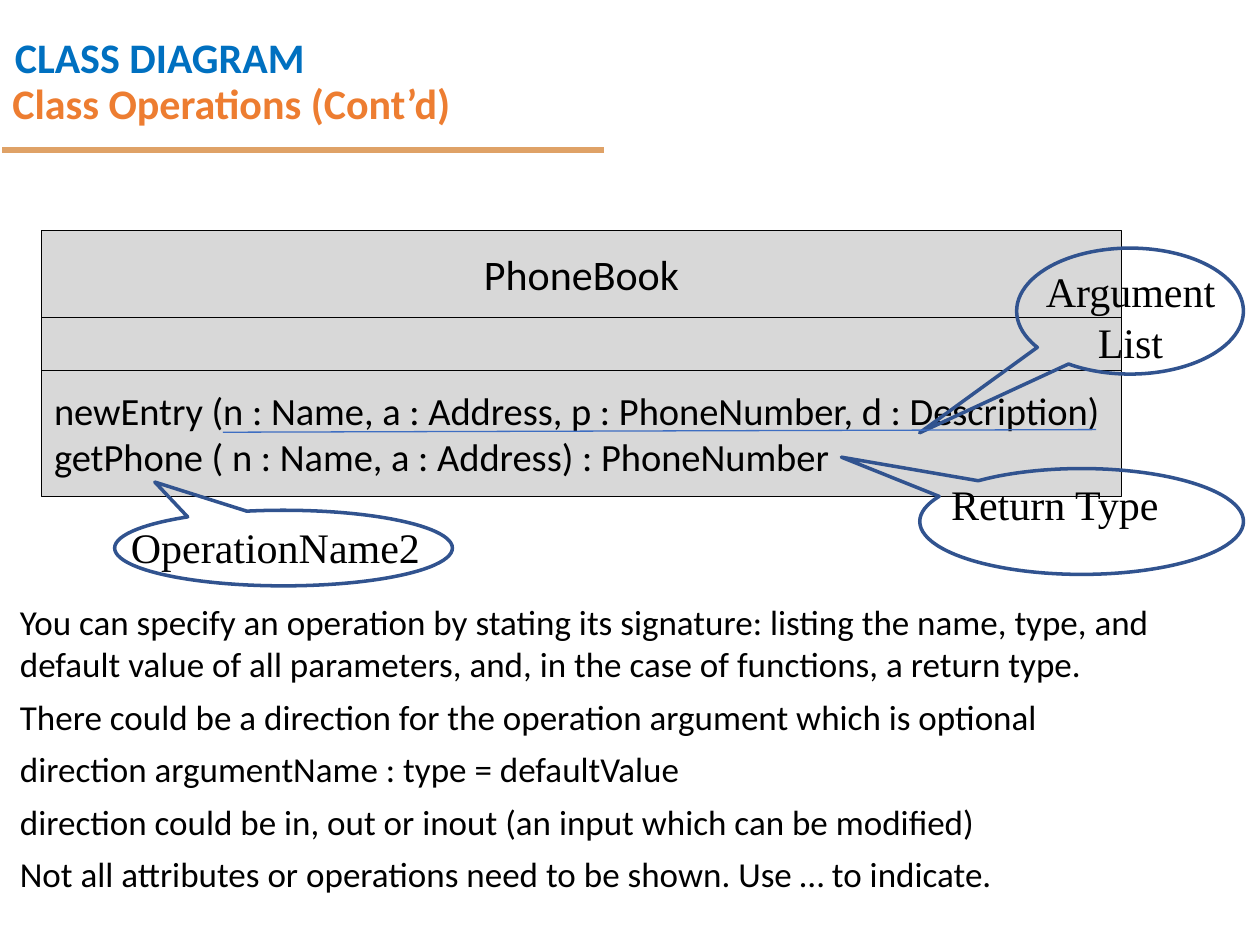
from dataclasses import dataclass

from lxml.etree import SubElement
from pptx import Presentation
from pptx.dml.color import RGBColor as RGB
from pptx.enum.shapes import MSO_CONNECTOR as CONN, MSO_SHAPE as SHAPE
from pptx.enum.text import MSO_ANCHOR as ANCHOR, PP_ALIGN as ALIGN
from pptx.oxml.ns import qn
from pptx.util import Pt


@dataclass(frozen=True)
class Theme:
    """Colours, fonts and type sizes of the slide."""
    ink: str = "000000"
    heading: str = "0070C0"
    title: str = "ED7D31"
    rule: str = "DFA267"
    box: str = "D8D8D8"
    callout: str = "31538F"
    underline: str = "3E6EC2"
    sans: str = "Calibri"
    serif: str = "Times New Roman"
    large: int = 24
    medium: int = 22
    body: int = 20


class Deck:
    """Draws styled elements on the current slide, measured in points."""

    def __init__(self, prs, theme):
        """Add a blank slide to draw on."""
        self.theme = theme
        self.s = prs.slides.add_slide(prs.slide_layouts[6])

    def fill_text(self, tf, lines, size, font=None, color=None, bold=False,
                  align=ALIGN.LEFT, anchor=ANCHOR.TOP, spacing=None, gap=0):
        """Fill a text frame with one paragraph per line."""
        tf.word_wrap = True
        tf.vertical_anchor = anchor
        tf.text = "\n".join(lines)
        for i, p in enumerate(tf.paragraphs):
            p.alignment = align
            p.line_spacing = spacing
            p.space_before = Pt(gap if i else 0)
            for r in p.runs:
                r.font.name = font or self.theme.sans
                r.font.size = Pt(size)
                r.font.bold = bold
                r.font.color.rgb = RGB.from_string(color or self.theme.ink)

    def text(self, box, lines, size, **style):
        """Add a text box."""
        sp = self.s.shapes.add_textbox(*map(Pt, box))
        self.fill_text(sp.text_frame, lines, size, **style)

    def shape(self, kind, box, line, width, fill=None):
        """Add a preset shape with an outline and an optional fill."""
        sp = self.s.shapes.add_shape(kind, *map(Pt, box))
        sp.shadow.inherit = False
        if fill:
            sp.fill.solid()
            sp.fill.fore_color.rgb = RGB.from_string(fill)
        else:
            sp.fill.background()
        sp.line.color.rgb = RGB.from_string(line)
        sp.line.width = Pt(width)
        return sp

    def compartment(self, top, height, lines=(), size=24, align=ALIGN.LEFT):
        """Add one compartment of the class box."""
        sp = self.shape(SHAPE.RECTANGLE, (23.8, top, 617, height),
                        self.theme.ink, 0.75, self.theme.box)
        if lines:
            self.fill_text(sp.text_frame, lines, size, align=align,
                           anchor=ANCHOR.MIDDLE)

    def callout(self, box, tip, label_box, lines, align=ALIGN.LEFT):
        """Add an elliptical callout and its label."""
        sp = self.shape(SHAPE.OVAL_CALLOUT, box, self.theme.callout, 2)
        sp.adjustments[0], sp.adjustments[1] = tip
        self.text(label_box, lines, self.theme.large,
                  font=self.theme.serif, align=align)

    def line(self, ends, color, width):
        """Add a straight line."""
        c = self.s.shapes.add_connector(CONN.STRAIGHT, *map(Pt, ends))
        c.line.color.rgb = RGB.from_string(color)
        c.line.width = Pt(width)
        SubElement(c._element.spPr, qn("a:effectLst"))


def main():
    """Build and save the slide."""
    prs = Presentation()
    prs.slide_width, prs.slide_height = Pt(720), Pt(540)
    t = Theme()
    d = Deck(prs, t)

    d.text((1.4, 0, 533, 51), ["CLASS DIAGRAM"], t.large,
           color=t.heading, bold=True, spacing=1.5)
    d.line((1.4, 85.7, 345, 85.7), t.rule, 3)
    d.text((0, 39.6, 618, 41.8), ["Class Operations (Cont’d)"], t.large,
           color=t.title, bold=True, anchor=ANCHOR.MIDDLE, spacing=0.9)

    d.compartment(131.8, 49.7, ["PhoneBook"], t.large, ALIGN.CENTER)
    d.compartment(181.4, 37.4)
    d.compartment(211.7, 72, [
        "newEntry (n : Name, a : Address, p : PhoneNumber, d : Description)",
        "getPhone ( n : Name, a : Address) : PhoneNumber",
    ], t.medium)

    d.text((4.3, 339.8, 715.7, 177), [
        "You can specify an operation by stating its signature: listing the name, "
        "type, and default value of all parameters, and, in the case of functions, "
        "a return type.",
        "There could be a direction for the operation argument which is optional",
        "direction argumentName : type = defaultValue",
        "direction could be in, out or inout (an input which can be modified)",
        "Not all attributes or operations need to be shown. Use … to indicate.",
    ], t.body, gap=6)

    d.callout((525.6, 267.8, 185, 60.5), (-0.742, -0.608),
              (536.4, 270, 134, 36), ["Return Type"])
    d.callout((65.5, 291.6, 193, 43.2), (-0.381, -0.873),
              (67.7, 294.5, 181.4, 36), ["OperationName2"])
    d.callout((581, 141.8, 129.6, 72), (-0.928, 0.966),
              (587, 148.3, 118, 65.5), ["Argument", "List"], ALIGN.CENTER)
    d.line((127.4, 247, 626.4, 245.5), t.underline, 0.75)

    prs.save("out.pptx")


if __name__ == "__main__":
    main()
